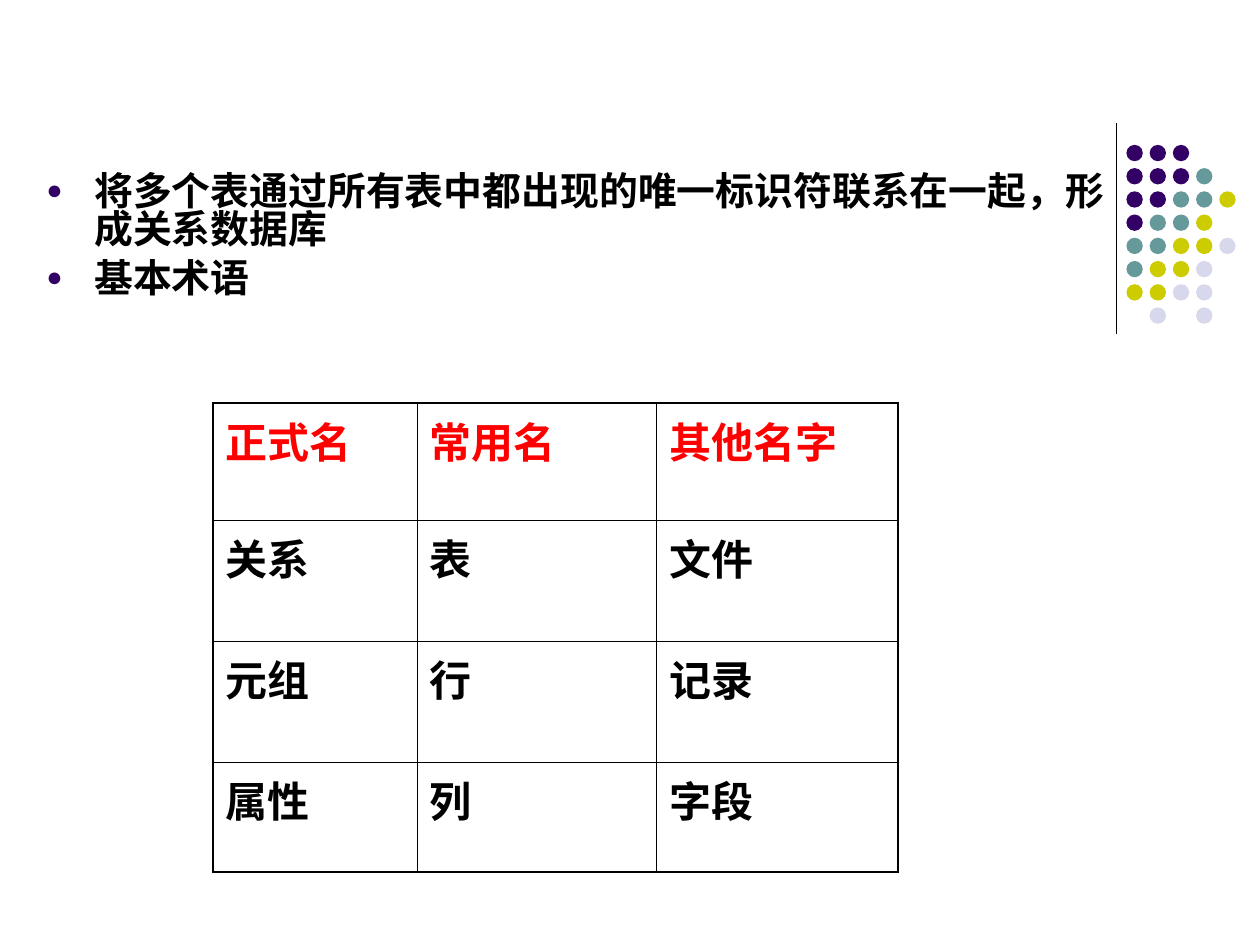
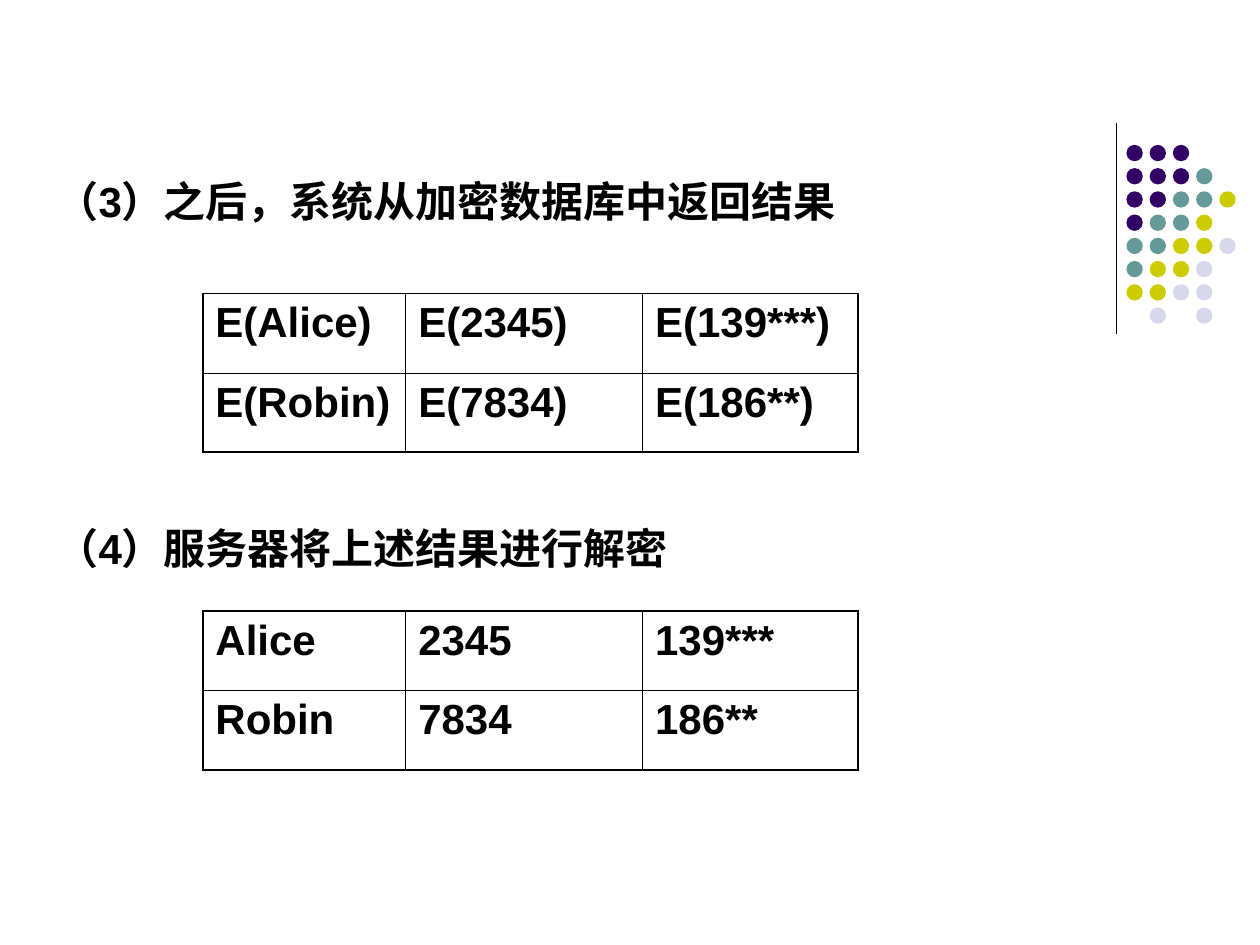
from lxml import etree
from pptx import Presentation
from pptx.dml.color import RGBColor
from pptx.enum.lang import MSO_LANGUAGE_ID
from pptx.enum.shapes import MSO_CONNECTOR, MSO_SHAPE
from pptx.oxml.ns import qn
from pptx.util import Inches, Pt

OVAL = MSO_SHAPE.OVAL
STRAIGHT = MSO_CONNECTOR.STRAIGHT
CHINESE = MSO_LANGUAGE_ID.SIMPLIFIED_CHINESE

FONT = "Arial"
BLACK, RED, PURPLE = "000000", "FF0000", "330066"
DOT_COLORS = {"P": PURPLE, "T": "669999", "Y": "CCCC00", "L": "D8D8EC"}
DOT_ROWS = ["PPP", "PPPT", "PPTTY", "PTTY", "TTYYL", "TYYL", "YYLL", ".L.L"]
DOT_LEFT, DOT_TOP, DOT_SIZE, DOT_PITCH = 8.94, 1.15, 0.13, 1.29 / 7
RULE_X, RULE_TOP, RULE_BOTTOM = 8.86, 0.98, 2.65
OUTER, INNER = 1.08, 0.45

SLIDES = [
    {
        "texts": [
            {"box": (0.27, 1.34, 8.9, 1.34), "size": 22.2, "spacing": 0.82,
             "before": 6, "bullet": True,
             "lines": ["将多个表通过所有表中都出现的唯一标识符联系在一起，形成关系数据库",
                       "基本术语"]},
        ],
        "tables": [
            {"at": (1.69, 3.2), "cols": [1.62, 1.9, 1.92],
             "rows": [0.93, 0.96, 0.96, 0.87], "header": RED,
             "cells": [["正式名", "常用名", "其他名字"],
                       ["关系", "表", "文件"],
                       ["元组", "行", "记录"],
                       ["属性", "列", "字段"]]},
        ],
    },
    {
        "texts": [
            {"box": (0.35, 1.39, 7.79, 1.11),
             "lines": ["（3）之后，系统从加密数据库中返回结果"]},
            {"box": (0.35, 4.14, 7.79, 1.72),
             "lines": ["（4）服务器将上述结果进行解密"]},
        ],
        "tables": [
            {"at": (1.61, 2.33), "cols": [1.61, 1.88, 1.71], "rows": [0.63, 0.63],
             "cells": [["E(Alice)", "E(2345)", "E(139***)"],
                       ["E(Robin)", "E(7834)", "E(186**)"]]},
            {"at": (1.61, 4.85), "cols": [1.61, 1.88, 1.71], "rows": [0.63, 0.63],
             "cells": [["Alice", "2345", "139***"],
                       ["Robin", "7834", "186**"]]},
        ],
    },
]


def rgb(value):
    return RGBColor.from_string(value)


def sub(parent, tag, **attrs):
    return etree.SubElement(parent, qn(tag), attrs)


def write(p, text, size=24, color=BLACK, before=6, spacing=None, bullet=False):
    p.space_before = Pt(before)
    if spacing:
        p.line_spacing = spacing
    if bullet:
        pPr = p._p.get_or_add_pPr()
        indent = Inches(0.38)
        pPr.set("marL", str(indent))
        pPr.set("indent", str(-indent))
        sub(sub(pPr, "a:buClr"), "a:srgbClr", val=PURPLE)
        sub(pPr, "a:buSzPct", val="70000")
        sub(pPr, "a:buFont", typeface=FONT)
        sub(pPr, "a:buChar", char="●")
    r = p.add_run()
    r.text = text
    r.font.name = FONT
    r.font.size = Pt(size)
    r.font.bold = True
    r.font.color.rgb = rgb(color)
    r.font.language_id = CHINESE


def add_text(s, box, lines, before=15, spacing=0.9, **fmt):
    tf = s.shapes.add_textbox(*map(Inches, box)).text_frame
    tf.word_wrap = True
    for i, line in enumerate(lines):
        p = tf.add_paragraph() if i else tf.paragraphs[0]
        write(p, line, before=before, spacing=spacing, **fmt)


def set_borders(cell, widths):
    tcPr = cell._tc.get_or_add_tcPr()
    for i, (side, width) in enumerate(zip("LRTB", widths)):
        ln = etree.Element(qn(f"a:ln{side}"), w=str(Pt(width)))
        sub(sub(ln, "a:solidFill"), "a:srgbClr", val=BLACK)
        tcPr.insert(i, ln)


def add_grid(s, at, cols, rows, cells, header=BLACK):
    size = (sum(cols), sum(rows))
    table = s.shapes.add_table(len(rows), len(cols), *map(Inches, at + size)).table
    table.first_row = table.horz_banding = False
    for col, width in zip(table.columns, cols):
        col.width = Inches(width)
    for i, (row, height) in enumerate(zip(table.rows, rows)):
        row.height = Inches(height)
        for j, cell in enumerate(row.cells):
            cell.fill.background()
            edges = (j == 0, j == len(cols) - 1, i == 0, i == len(rows) - 1)
            set_borders(cell, [OUTER if edge else INNER for edge in edges])
            write(cell.text_frame.paragraphs[0], cells[i][j],
                  color=BLACK if i else header)


def add_ornament(s):
    ends = (RULE_X, RULE_TOP, RULE_X, RULE_BOTTOM)
    rule = s.shapes.add_connector(STRAIGHT, *map(Inches, ends))
    rule.line.color.rgb = rgb(BLACK)
    rule.line.width = Pt(0.75)
    sub(rule._element.spPr, "a:effectLst")
    for i, row in enumerate(DOT_ROWS):
        for j, key in enumerate(row):
            if key in DOT_COLORS:
                box = (DOT_LEFT + j * DOT_PITCH, DOT_TOP + i * DOT_PITCH,
                       DOT_SIZE, DOT_SIZE)
                dot = s.shapes.add_shape(OVAL, *map(Inches, box))
                dot.shadow.inherit = False
                dot.fill.solid()
                dot.fill.fore_color.rgb = rgb(DOT_COLORS[key])
                dot.line.fill.background()


def main():
    prs = Presentation()
    prs.slide_width, prs.slide_height = Inches(10), Inches(7.5)
    for content in SLIDES:
        s = prs.slides.add_slide(prs.slide_layouts[6])
        add_ornament(s)
        for text in content["texts"]:
            add_text(s, **text)
        for table in content["tables"]:
            add_grid(s, **table)
    prs.save("out.pptx")


if __name__ == "__main__":
    main()
